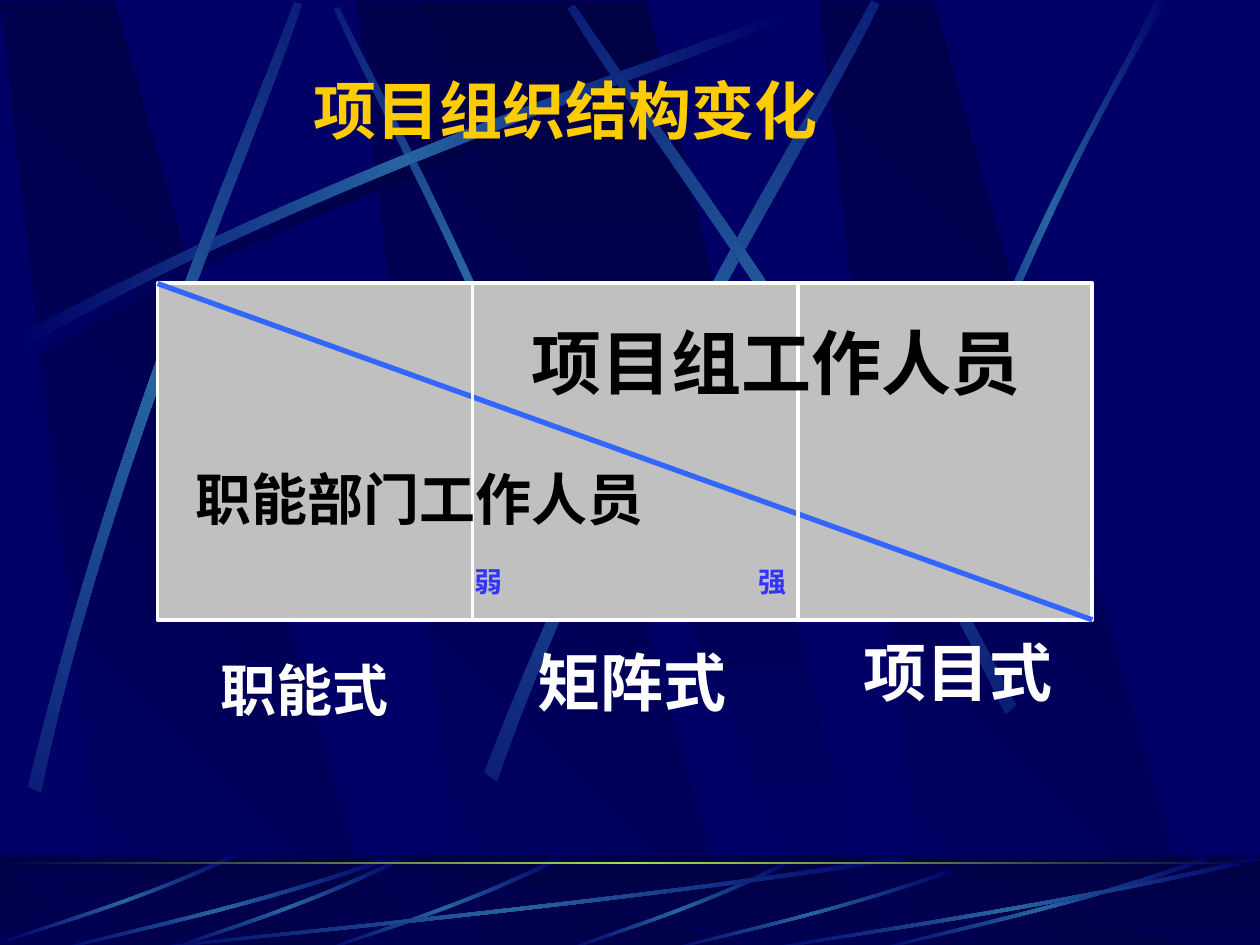
"""Build the slide on how staffing shifts between project organisation structures."""
from lxml.etree import SubElement
from pptx import Presentation
from pptx.dml.color import RGBColor
from pptx.enum.shapes import MSO_CONNECTOR, MSO_SHAPE
from pptx.enum.text import MSO_ANCHOR, MSO_AUTO_SIZE, PP_ALIGN
from pptx.oxml.ns import qn
from pptx.util import Inches, Pt

COLORS = {
    "navy": "000066", "dark": "000044", "streak": "2663A0", "glow": "9CE157",
    "gold": "FFCC00", "white": "FFFFFF", "black": "000000", "panel": "C0C0C0",
    "diagonal": "3366FF", "label": "3333FF",
}
RISING = [
    (0, 0.96), (0.434, 0.43), (0.828, 0.15), (0.995, 0),
    (1, 0.02), (0.834, 0.19), (0.384, 0.5), (0.005, 1),
]
STEEP = [
    (0, 0.99), (0.4, 0.44), (0.79, 0.17), (0.947, 0),
    (1, 0), (0.52, 0.365), (0.164, 0.81), (0.03, 1),
]
FLOOR = [
    (1, 0.04), (0.57, 0.57), (0.17, 0.85), (0.01, 1),
    (0, 0.99), (0.165, 0.81), (0.615, 0.5), (0.99, 0),
]

prs = Presentation()
prs.slide_width, prs.slide_height = Inches(10), Inches(7.5)
slide = prs.slides.add_slide(prs.slide_layouts[6])
shapes = slide.shapes
slide.background.fill.solid()
slide.background.fill.fore_color.rgb = RGBColor.from_string(COLORS["navy"])


def paint(shape, names, angle=0):
    """Fill with one colour or an evenly spaced gradient, without line or shadow."""
    shape.shadow.inherit = False
    shape.line.fill.background()
    if len(names) == 1:
        shape.fill.solid()
        shape.fill.fore_color.rgb = RGBColor.from_string(COLORS[names[0]])
        return
    shape.fill.gradient()
    shape.fill.gradient_angle = angle
    stops = shape._element.spPr.find(".//" + qn("a:gsLst"))
    for stop in list(stops):
        stops.remove(stop)
    for i, name in enumerate(names):
        stop = SubElement(stops, qn("a:gs"), pos=str(100000 * i // (len(names) - 1)))
        SubElement(stop, qn("a:srgbClr"), val=COLORS[name])


def outline(points):
    """Draw a closed polygon through points given in inches."""
    corners = [(Inches(x), Inches(y)) for x, y in points]
    builder = shapes.build_freeform(*corners[0])
    builder.add_line_segments(corners[1:], close=True)
    return builder.convert_to_shape()


streaks = [
    (RISING, 0.2, 0.18, 6.09, 2.67, 0, False, 0, "dark"),
    (RISING, 1.41, 1.35, 4.42, 1.75, 45, True, 0, "streak"),
    (RISING, 0.14, 0.1, 6.09, 2.67, 0, False, 0, "streak"),
    (RISING, -1.71, 1.82, 6.08, 2.67, 311.7, False, 0, "streak"),
    (RISING, 2.31, 1.6, 6.24, 3.01, 321.6, False, 0, "streak"),
    (RISING, 3.23, 1.52, 6.08, 2.67, 34.8, True, 0, "streak"),
    (STEEP, 7.38, 0, 1.89, 3.97, 0, False, 0, "streak"),
    (FLOOR, 4.48, 6.82, 1.8, 0.73, 0, False, 0, "streak"),
    (FLOOR, 2.56, 6.8, 1.88, 0.75, 0, False, 45, "streak"),
    (FLOOR, 1.31, 6.8, 1.88, 0.75, 0, False, 45, "streak"),
    (FLOOR, 0.02, 6.77, 1.86, 0.71, 0, False, 45, "streak"),
    (FLOOR, 1, 6.8, 6.17, 0.75, 0, False, 0, "streak"),
    (FLOOR, 0.42, 6.8, 2.67, 0.75, 0, False, 0, "streak"),
    (FLOOR, 5.27, 6.89, 2.31, 0.66, 0, False, 0, "streak"),
    (FLOOR, 6.92, 6.8, 2.67, 0.75, 0, False, 0, "streak"),
    (FLOOR, 6, 6.8, 4, 0.75, 0, False, 0, "streak"),
]

for top, bottom, layer in [(0.01, 7.52, streaks[:7]), (6.88, 7.54, streaks[7:])]:
    if top > 1:
        floor = shapes.add_shape(MSO_SHAPE.RECTANGLE, 0, Inches(6.8), Inches(10), Inches(0.75))
        paint(floor, ["dark", "navy"], 270)
    for left in (2.83, 0, 6.5):
        beam = outline([(left + 0.86, bottom), (left + 3.02, bottom), (left + 0.91, top), (left, top)])
        paint(beam, ["navy", "dark"], 45)
    wedge = outline([(3.33, top), (6.58, bottom), (6.94, bottom), (5.13, top)])
    paint(wedge, ["dark", "navy"], 270)
    if top > 1:
        veil = shapes.add_shape(MSO_SHAPE.RECTANGLE, 0, Inches(6.79), Inches(10), Inches(0.75))
        paint(veil, ["dark"])
        SubElement(veil._element.spPr.find(".//" + qn("a:srgbClr")), qn("a:alpha"), val="50000")
    for profile, left, top_edge, width, height, turn, mirrored, angle, middle in layer:
        streak = outline([
            (left + width * (1 - x if mirrored else x), top_edge + height * y) for x, y in profile])
        segments = list(streak._element.spPr.iter(qn("a:lnTo")))
        for first in (0, 4):
            curve = SubElement(segments[first].getparent(), qn("a:cubicBezTo"))
            segments[first].addprevious(curve)
            for segment in segments[first:first + 3]:
                curve.append(segment[0])
                segment.getparent().remove(segment)
        streak.rotation = turn
        paint(streak, ["navy", middle, "navy"], angle)

horizon = shapes.add_shape(MSO_SHAPE.RECTANGLE, 0, Inches(6.84), Inches(10), Inches(0.02))
paint(horizon, ["dark", "glow", "dark"])

LEFT, TOP, RIGHT, BOTTOM = 1.25, 2.25, 8.67, 4.92
panel = shapes.add_shape(
    MSO_SHAPE.RECTANGLE, Inches(LEFT), Inches(TOP), Inches(RIGHT - LEFT), Inches(BOTTOM - TOP))
paint(panel, ["panel"])
panel.line.color.rgb = RGBColor.from_string(COLORS["white"])
panel.line.width = Pt(2.25)

for start, end, color, weight in [
    (LEFT, RIGHT, "diagonal", 3), (3.75, 3.75, "white", 2.25), (6.33, 6.33, "white", 2.25),
]:
    divider = shapes.add_connector(
        MSO_CONNECTOR.STRAIGHT, Inches(start), Inches(TOP), Inches(end), Inches(BOTTOM))
    divider.line.color.rgb = RGBColor.from_string(COLORS[color])
    divider.line.width = Pt(weight)
    SubElement(divider._element.spPr, qn("a:effectLst"))

for words, left, top, width, height, size, color, wrap in [
    ("项目组织结构变化", 1.46, 0.49, 6.06, 0.73, 36, "gold", True),
    ("职能式", 1.63, 5.13, 1.57, 0.66, 32, "white", False),
    ("矩阵式", 4.15, 5.03, 1.74, 0.73, 36, "white", False),
    ("项目式", 6.73, 4.95, 1.74, 0.73, 36, "white", False),
    ("弱", 3.66, 4.42, 0.44, 0.38, 16, "label", False),
    ("强", 5.91, 4.42, 0.44, 0.38, 16, "label", False),
    ("职能部门工作人员", 1.43, 3.61, 3.8, 0.66, 32, "black", False),
    ("项目组工作人员", 4.1, 2.46, 4.12, 0.8, 40, "black", False),
]:
    frame = shapes.add_textbox(Inches(left), Inches(top), Inches(width), Inches(height)).text_frame
    paragraph = frame.paragraphs[0]
    run = paragraph.add_run()
    run.text = words
    formats = {
        frame: {"word_wrap": wrap, "vertical_anchor": MSO_ANCHOR.MIDDLE,
                "auto_size": MSO_AUTO_SIZE.SHAPE_TO_FIT_TEXT},
        paragraph: {"alignment": PP_ALIGN.CENTER, "line_spacing": 1.04,
                    "space_before": Pt(size * 0.625)},
        run.font: {"name": "Times New Roman", "size": Pt(size), "bold": True},
        run.font.color: {"rgb": RGBColor.from_string(COLORS[color])},
    }
    for part, values in formats.items():
        for key, value in values.items():
            setattr(part, key, value)

prs.save("out.pptx")
